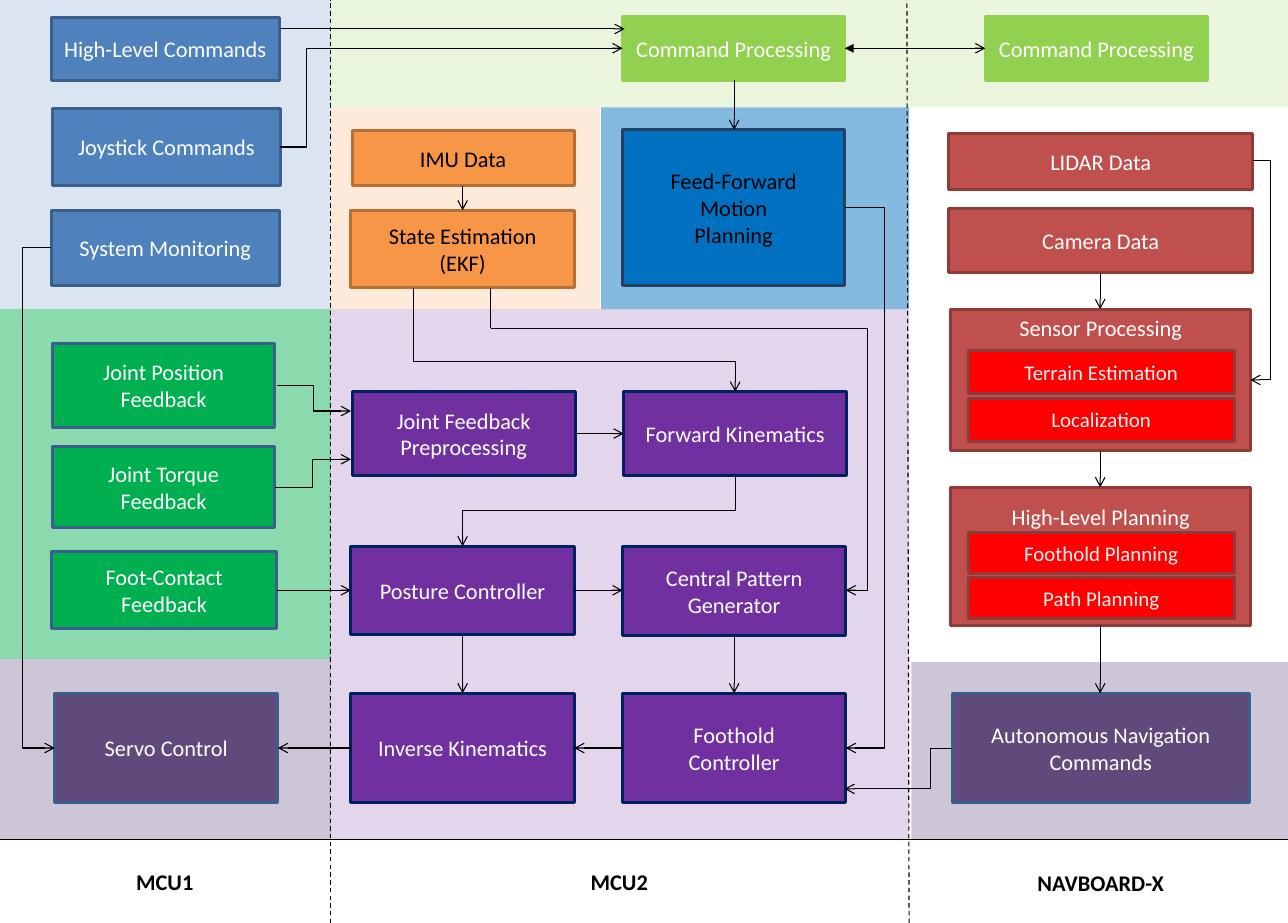
from lxml.etree import SubElement
from pptx import Presentation
from pptx.dml.color import RGBColor
from pptx.enum.dml import MSO_LINE
from pptx.enum.shapes import MSO_CONNECTOR as CONNECTOR, MSO_SHAPE as SHAPE
from pptx.enum.text import MSO_ANCHOR as ANCHOR, PP_ALIGN as ALIGN
from pptx.oxml.ns import qn
from pptx.util import Inches, Pt

FONT = "Calibri"
COLORS = {
    "black": "000000", "white": "FFFFFF", "pale": "F2F2F2",
    "purple": "7030A0", "navy": "002060", "plum": "604A7B",
    "orange": "F79646", "brown": "B76F34", "blue": "4F81BD",
    "steel": "3A5F8C", "green": "00B050", "azure": "0070C0",
    "midnight": "254061", "lime": "92D050", "brick": "C0504D",
    "maroon": "8E3B39", "red": "FF0000",
}

# Background zones: left, top, width, height, colour, opacity in percent
ZONES = [
    (3.07, 2.88, 5.4, 4.94, "purple", 20),
    (0, 6.14, 3.08, 1.68, "plum", 31),
    (3.08, 1, 2.51, 1.88, "orange", 20),
    (8.49, 6.17, 3.51, 1.65, "plum", 31),
    (0, 0, 3.08, 2.88, "blue", 20),
    (0, 2.88, 3.08, 3.26, "green", 46),
    (5.6, 1, 2.87, 1.88, "azure", 48),
    (3.07, 0, 8.93, 1, "lime", 20),
]

# Box styles: fill, outline, text colour, text size
STYLES = {
    "command": ("blue", "steel", "white", 15),
    "feedback": ("green", "steel", "white", 15),
    "output": ("plum", "steel", "white", 15),
    "control": ("purple", "navy", "white", 15),
    "estimate": ("orange", "brown", "black", 15),
    "motion": ("azure", "midnight", "black", 15),
    "process": ("lime", "lime", "white", 15),
    "sensor": ("brick", "maroon", "white", 15),
    "task": ("red", "maroon", "pale", 14),
}

# Boxes by style: text, left, top, width, height, top inset for a heading
BOXES = {
    "command": [
        ("High-Level Commands", 0.48, 0.16, 2.12, 0.59),
        ("Joystick Commands", 0.49, 1.01, 2.12, 0.72),
        ("System Monitoring", 0.48, 1.96, 2.12, 0.7),
    ],
    "feedback": [
        ("Joint Position\nFeedback", 0.49, 3.2, 2.07, 0.78),
        ("Joint Torque Feedback", 0.49, 4.16, 2.07, 0.76),
        ("Foot-Contact Feedback", 0.48, 5.14, 2.1, 0.72),
    ],
    "output": [
        ("Servo Control", 0.51, 6.46, 2.08, 1.02),
        ("Autonomous Navigation\nCommands", 8.87, 6.46, 2.77, 1.02),
    ],
    "control": [
        ("Joint Feedback Preprocessing", 3.28, 3.65, 2.08, 0.78),
        ("Forward Kinematics", 5.81, 3.65, 2.08, 0.78),
        ("Posture Controller", 3.27, 5.09, 2.08, 0.82),
        ("Central Pattern Generator", 5.8, 5.09, 2.08, 0.83),
        ("Inverse Kinematics", 3.27, 6.46, 2.08, 1.02),
        ("Foothold\nController", 5.8, 6.46, 2.08, 1.02),
    ],
    "estimate": [
        ("IMU Data", 3.28, 1.22, 2.07, 0.51),
        ("State Estimation\n(EKF)", 3.27, 1.96, 2.08, 0.72),
    ],
    "motion": [("Feed-Forward\nMotion\nPlanning", 5.8, 1.21, 2.07, 1.45)],
    "process": [("Command Processing", left, 0.15, 2.07, 0.6)
                for left in (5.8, 9.18)],
    "sensor": [
        ("LIDAR Data", 8.84, 1.24, 2.83, 0.53),
        ("Camera Data", 8.84, 1.94, 2.83, 0.6),
        ("Sensor Processing", 8.86, 2.88, 2.79, 1.32, 0.05),
        ("High-Level Planning", 8.86, 4.54, 2.79, 1.29, 0.15),
    ],
    "task": [
        ("Terrain Estimation", 9.02, 3.27, 2.48, 0.4),
        ("Localization", 9.02, 3.71, 2.48, 0.4),
        ("Foothold Planning", 9.02, 4.96, 2.48, 0.38),
        ("Path Planning", 9.02, 5.38, 2.48, 0.38),
    ],
}

# Straight arrows: start x, start y, end x, end y
ARROWS = [
    (2.61, 0.27, 5.82, 0.27), (6.84, 0.75, 6.84, 1.21),
    (4.31, 1.73, 4.31, 1.96), (5.37, 4.04, 5.81, 4.04),
    (2.58, 5.5, 3.27, 5.5), (5.35, 5.5, 5.8, 5.5),
    (4.31, 5.92, 4.31, 6.46), (6.84, 5.92, 6.84, 6.46),
    (5.8, 6.97, 5.35, 6.97), (3.27, 6.97, 2.59, 6.97),
    (10.25, 2.54, 10.25, 2.88), (10.25, 4.2, 10.25, 4.54),
    (10.25, 5.82, 10.25, 6.46),
]
# Elbows that leave sideways: the same, then x of the middle stretch
SIDE_ELBOWS = [
    (2.61, 1.37, 5.8, 0.45, 2.86), (0.48, 2.31, 0.51, 6.97, 0.21),
    (4.57, 3.06, 7.88, 5.5, 8.08), (7.87, 1.93, 7.88, 6.97, 8.25),
    (2.58, 3.59, 3.27, 3.83, 2.92), (2.56, 4.54, 3.27, 4.28, 2.91),
    (11.67, 1.5, 11.65, 3.54, 11.84), (8.87, 6.97, 7.87, 7.35, 8.67),
]
# Elbows that leave downwards: the same, then y of the middle stretch
DOWN_ELBOWS = [(3.85, 2.68, 6.85, 3.65, 3.37), (6.85, 4.43, 4.31, 5.09, 4.76)]
DIVIDERS = [(3.08, 8.6, 3.08, 0), (8.47, 8.6, 8.45, 0)]

# Processor labels: text, left, top, width
LABELS = [("MCU1", 0, 8.04, 3.07), ("MCU2", 3.07, 8.04, 5.4),
          ("NAVBOARD-X", 8.49, 8.05, 3.53)]


def color(name):
    """Look up a named colour."""
    return RGBColor.from_string(COLORS[name])


def write(shape, text, size, ink, bold=False):
    """Fill a shape with centred text."""
    frame = shape.text_frame
    frame.word_wrap = True
    frame.text = text
    for paragraph in frame.paragraphs:
        paragraph.alignment = ALIGN.CENTER
        font = paragraph.font
        font.name, font.size, font.bold = FONT, Pt(size), bold
        font.color.rgb = color(ink)


def add_rectangle(left, top, width, height, fill):
    """Add a plain filled rectangle."""
    shape = slide.shapes.add_shape(
        SHAPE.RECTANGLE, *map(Inches, (left, top, width, height)))
    shape.shadow.inherit = False
    shape.fill.solid()
    shape.fill.fore_color.rgb = color(fill)
    return shape


def add_zone(left, top, width, height, fill, opacity):
    """Add a translucent background zone."""
    shape = add_rectangle(left, top, width, height, fill)
    shape.line.fill.background()
    tint = shape._element.spPr.find(qn("a:solidFill"))[0]
    SubElement(tint, qn("a:alpha"), val=str(opacity * 1000))


def add_box(style, text, left, top, width, height, inset=None):
    """Add a block; an inset puts its text at the top."""
    fill, outline, ink, size = STYLES[style]
    shape = add_rectangle(left, top, width, height, fill)
    shape.line.color.rgb = color(outline)
    shape.line.width = Pt(2)
    write(shape, text, size, ink)
    shape.text_frame.vertical_anchor = ANCHOR.MIDDLE
    if inset is not None:
        shape.text_frame.vertical_anchor = ANCHOR.TOP
        shape.text_frame.margin_top = Inches(inset)


def add_line(x1, y1, x2, y2, kind=CONNECTOR.STRAIGHT, head=None, tail=None,
             width=0.75, dashed=False):
    """Add a black connector with optional arrowheads."""
    line = slide.shapes.add_connector(kind, *map(Inches, (x1, y1, x2, y2)))
    line.line.color.rgb = color("black")
    line.line.width = Pt(width)
    if dashed:
        line.line.dash_style = MSO_LINE.DASH
    properties = line._element.spPr
    outline = properties.find(qn("a:ln"))
    for tag, end in (("a:headEnd", head), ("a:tailEnd", tail)):
        if end:
            SubElement(outline, qn(tag), type=end)
    SubElement(properties, qn("a:effectLst"))
    return line


def add_elbow(x1, y1, x2, y2, middle, down=False):
    """Add an elbow arrow; one leaving downwards is a turned sideways one."""
    ends = (x1, y1, x2, y2)
    share = (middle - x1) / (x2 - x1)
    if down:
        share = (middle - y1) / (y2 - y1)
        center_x, center_y = (x1 + x2) / 2, (y1 + y2) / 2
        half_x, half_y = (y2 - y1) / 2, abs(x2 - x1) / 2
        if x2 > x1:
            half_x = -half_x
        ends = (center_x - half_x, center_y - half_y,
                center_x + half_x, center_y + half_y)
    line = add_line(*ends, kind=CONNECTOR.ELBOW, tail="arrow")
    properties = line._element.spPr
    if down:
        angle = 270 if x2 > x1 else 90
        properties.find(qn("a:xfrm")).set("rot", str(angle * 60000))
    guides = properties.find(qn("a:prstGeom")).find(qn("a:avLst"))
    SubElement(guides, qn("a:gd"), name="adj1",
               fmla=f"val {round(share * 100000)}")


presentation = Presentation()
presentation.slide_width, presentation.slide_height = Inches(12), Inches(8.6)
slide = presentation.slides.add_slide(presentation.slide_layouts[6])

for zone in ZONES:
    add_zone(*zone)
for style, boxes in BOXES.items():
    for box in boxes:
        add_box(style, *box)
for arrow in ARROWS:
    add_line(*arrow, tail="arrow")
for elbow in SIDE_ELBOWS:
    add_elbow(*elbow)
for elbow in DOWN_ELBOWS:
    add_elbow(*elbow, down=True)
add_line(4.57, 3.06, 4.57, 2.68)
add_line(7.87, 0.45, 9.18, 0.45, head="triangle", tail="arrow")
for divider in DIVIDERS:
    add_line(*divider, dashed=True)
add_line(0, 7.82, 12, 7.82, width=1)
for text, left, top, width in LABELS:
    label = slide.shapes.add_textbox(*map(Inches, (left, top, width, 0.4)))
    write(label, text, 15, "black", bold=True)

presentation.save("out.pptx")
